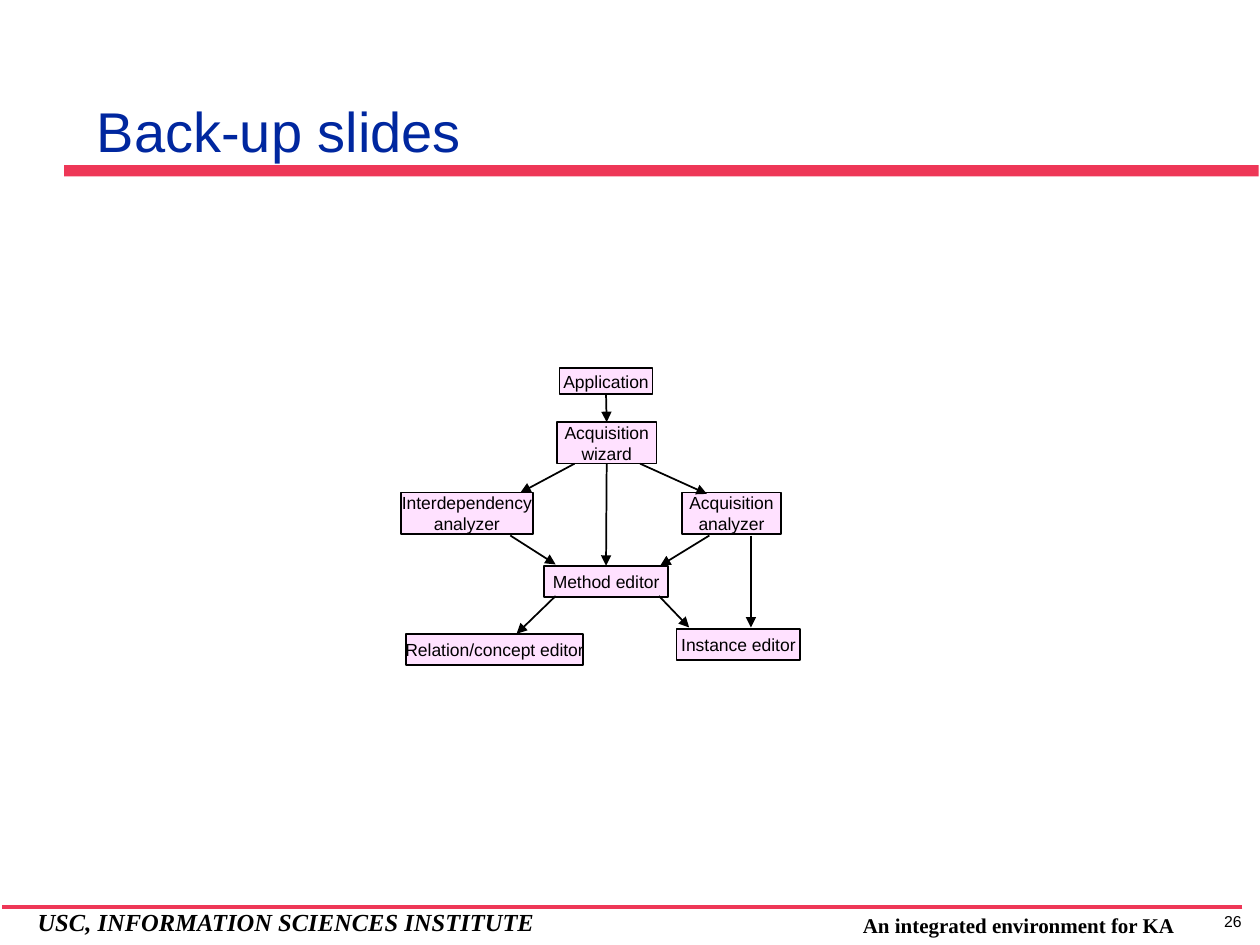
from lxml.etree import SubElement
from pptx import Presentation
from pptx.dml.color import RGBColor
from pptx.enum.shapes import MSO_CONNECTOR, MSO_SHAPE
from pptx.enum.text import MSO_ANCHOR, PP_ALIGN
from pptx.oxml.ns import qn
from pptx.util import Inches, Pt

RED = RGBColor(0xEE, 0x37, 0x57)
PINK = RGBColor(0xFF, 0xE1, 0xFF)
NAVY = RGBColor(0x00, 0x27, 0x9F)
BLACK = RGBColor(0x00, 0x00, 0x00)

# Diagram boxes: name -> (text lines, left, top, width, height)
NODES = {
    "application": (["Application"], 1.26, 0, 0.74, 0.21),
    "wizard": (["Acquisition", "wizard"], 1.24, 0.43, 0.79, 0.33),
    "acquisition": (["Acquisition", "analyzer"], 2.23, 0.99, 0.79, 0.33),
    "interdependency": (["Interdependency", "analyzer"], 0, 0.99, 1.05, 0.33),
    "method": (["Method editor"], 1.14, 1.57, 0.98, 0.25),
    "relation": (["Relation/concept editor"], 0.04, 2.11, 1.41, 0.25),
    "instance": (["Instance editor"], 2.19, 2.07, 0.98, 0.25),
}
# Arrows between the middles of box sides, bottom to top
JOINED_ARROWS = [("application", "wizard"), ("wizard", "method")]
# Other arrows: start x, start y, end x, end y
FREE_ARROWS = [
    (1.38, 0.76, 0.95, 0.99),  # wizard to interdependency analyzer
    (1.90, 0.76, 2.43, 1.00),  # wizard to acquisition analyzer
    (0.87, 1.33, 1.23, 1.56),  # interdependency analyzer to method editor
    (2.45, 1.33, 2.06, 1.57),  # acquisition analyzer to method editor
    (2.78, 1.33, 2.78, 2.06),  # acquisition analyzer to instance editor
    (2.05, 1.81, 2.29, 2.06),  # method editor to instance editor
    (1.23, 1.81, 0.92, 2.11),  # method editor to relation editor
]


def write_lines(frame, lines, size, font="Arial", color=BLACK, bold=False,
                italic=False, align=PP_ALIGN.LEFT):
    for index, text in enumerate(lines):
        para = frame.add_paragraph() if index else frame.paragraphs[0]
        para.text = text
        para.alignment = align
        para.font.size = Pt(size)
        para.font.name = font
        para.font.color.rgb = color
        para.font.bold = bold
        para.font.italic = italic


def add_text(page, left, top, width, height, text, size, wrap=True,
             anchor=MSO_ANCHOR.TOP, **style):
    box = page.shapes.add_textbox(
        Inches(left), Inches(top), Inches(width), Inches(height))
    box.text_frame.word_wrap = wrap
    box.text_frame.vertical_anchor = anchor
    write_lines(box.text_frame, [text], size, **style)


def add_rectangle(page, left, top, width, height, fill):
    shape = page.shapes.add_shape(
        MSO_SHAPE.RECTANGLE,
        Inches(left), Inches(top), Inches(width), Inches(height))
    shape.shadow.inherit = False
    shape.fill.solid()
    shape.fill.fore_color.rgb = fill
    shape.line.fill.background()
    return shape


def add_line(page, x1, y1, x2, y2, color, weight, arrow=False):
    line = page.shapes.add_connector(
        MSO_CONNECTOR.STRAIGHT, Inches(x1), Inches(y1), Inches(x2), Inches(y2))
    line.line.color.rgb = color
    line.line.width = Pt(weight)
    if arrow:
        SubElement(line.line._get_or_add_ln(), qn("a:tailEnd"), type="triangle")
    SubElement(line._element.spPr, qn("a:effectLst"))
    return line


def add_header(page, left, top, width, height):
    # Red rule along the bottom, title resting on it
    add_rectangle(page, left, top + height - 0.09, width, 0.09, RED)
    add_text(page, left + 0.16, top, 8.48, 1.26, "Back-up slides", 32,
             anchor=MSO_ANCHOR.BOTTOM, color=NAVY)


def add_diagram(page, left, top):
    # Boxes
    shapes = {}
    for name, (lines, x, y, width, height) in NODES.items():
        shape = add_rectangle(page, left + x, top + y, width, height, PINK)
        shape.line.color.rgb = BLACK
        shape.line.width = Pt(1)
        shape.text_frame.word_wrap = False
        shape.text_frame.vertical_anchor = MSO_ANCHOR.MIDDLE
        write_lines(shape.text_frame, lines, 10, align=PP_ALIGN.CENTER)
        shapes[name] = shape

    # Arrows
    for start, end in JOINED_ARROWS:
        arrow = add_line(page, left, top, left, top, BLACK, 1, arrow=True)
        arrow.begin_connect(shapes[start], 2)
        arrow.end_connect(shapes[end], 0)
    for x1, y1, x2, y2 in FREE_ARROWS:
        add_line(page, left + x1, top + y1, left + x2, top + y2,
                 BLACK, 1, arrow=True)


def add_footer(page, left, top, width):
    add_line(page, left + width, top + 0.05, left, top + 0.05, RED, 2)
    add_text(page, left + 0.18, top, 4.36, 0.33,
             "USC, INFORMATION SCIENCES INSTITUTE", 14,
             font="Times New Roman", bold=True, italic=True)
    add_text(page, left + 6.73, top + 0.04, 2.86, 0.3,
             "An integrated environment for KA", 12,
             font="Times New Roman", bold=True)
    add_text(page, left + 9.38, top + 0.04, 0.77, 0.25, "26", 9,
             wrap=False, align=PP_ALIGN.CENTER)


def main():
    deck = Presentation()
    deck.slide_width = Inches(10)
    deck.slide_height = Inches(7.5)
    page = deck.slides.add_slide(deck.slide_layouts[6])
    add_header(page, 0.51, 0.09, 9.48, 1.31)
    add_diagram(page, 3.18, 2.92)
    add_footer(page, 0.02, 7.15, 9.84)
    deck.save("out.pptx")


if __name__ == "__main__":
    main()
